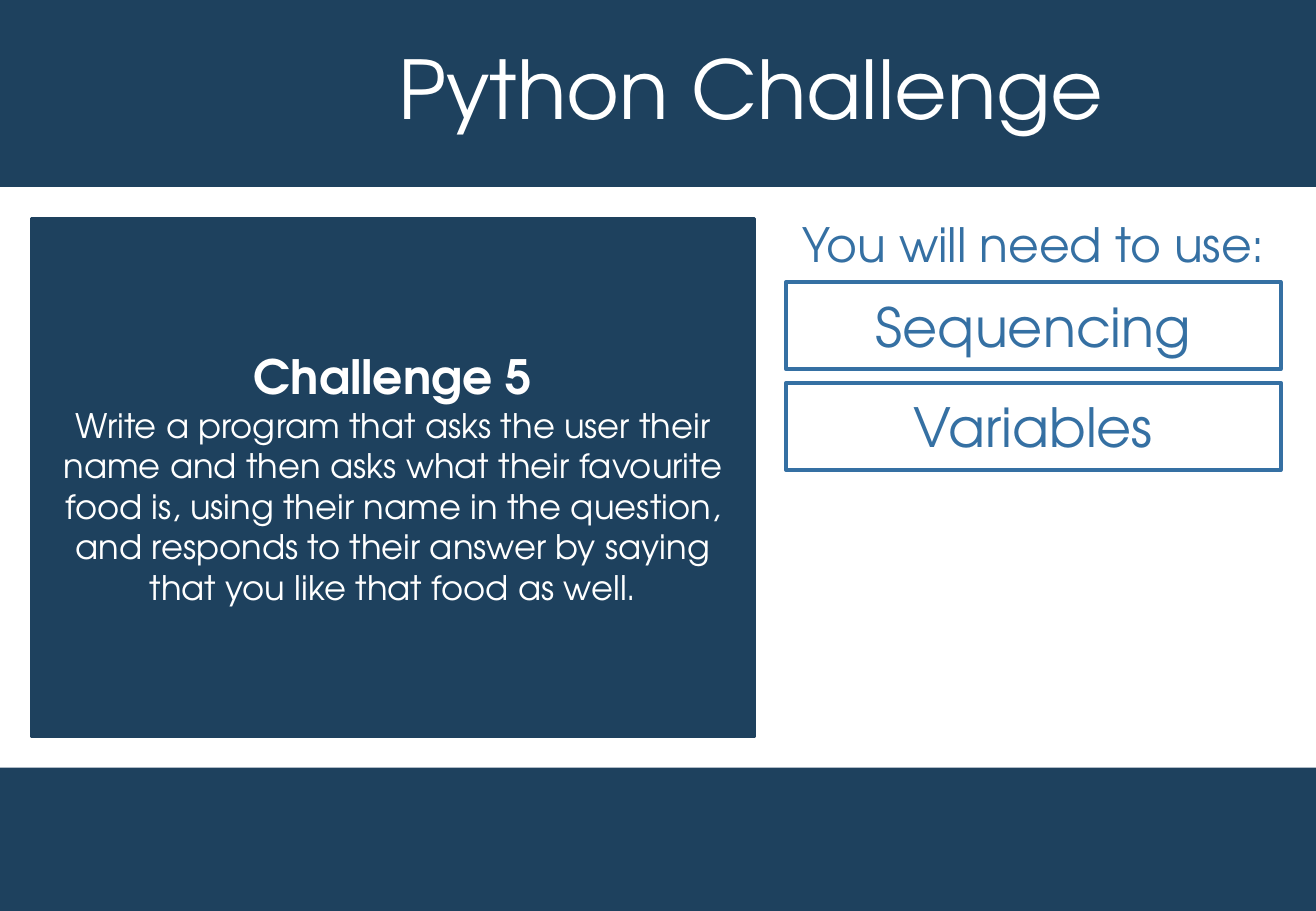
"""Build the Python Challenge slide with its task panel and list of needed skills."""
from dataclasses import dataclass
from typing import Optional

from pptx import Presentation
from pptx import util as u
from pptx.dml.color import RGBColor
from pptx.enum import shapes, text

PX = 9144
FONT = "TeX Gyre Adventor"
COLOURS = {"navy": "1E415E", "blue": "3570A3", "white": "FFFFFF"}
SKILLS = ("Sequencing", "Variables")
SKILL_TOP, SKILL_STEP = 232, 83


@dataclass(frozen=True)
class Line:
    words: str
    size: int
    colour: str
    bold: bool = False
    spacing: float = 1.0


@dataclass(frozen=True)
class Block:
    left: int
    top: int
    width: int
    height: int
    fill: Optional[str] = None
    border: Optional[str] = None
    lines: tuple[Line, ...] = ()


def rgb(colour: str) -> RGBColor:
    return RGBColor.from_string(COLOURS[colour])


def set_all(target: object, values: dict[str, object]) -> None:
    for key, value in values.items():
        setattr(target, key, value)


def write_lines(frame, lines: tuple[Line, ...]) -> None:
    set_all(frame, {"word_wrap": True, "vertical_anchor": text.MSO_ANCHOR.MIDDLE})
    for index, line in enumerate(lines):
        paragraph = frame.add_paragraph() if index else frame.paragraphs[0]
        set_all(paragraph, {"alignment": text.PP_ALIGN.CENTER, "line_spacing": line.spacing})
        run = paragraph.add_run()
        run.text = line.words
        set_all(run.font, {"name": FONT, "size": u.Pt(line.size), "bold": line.bold})
        run.font.color.rgb = rgb(line.colour)


def draw_block(slide, block: Block) -> None:
    place = [side * PX for side in (block.left, block.top, block.width, block.height)]
    if block.fill or block.border:
        body = slide.shapes.add_shape(shapes.MSO_SHAPE.RECTANGLE, *place)
        body.shadow.inherit = False
        if block.fill:
            body.fill.solid()
            body.fill.fore_color.rgb = rgb(block.fill)
        else:
            body.fill.background()
        if block.border:
            body.line.color.rgb = rgb(block.border)
            body.line.width = u.Pt(2.25)
        else:
            body.line.fill.background()
    else:
        body = slide.shapes.add_textbox(*place)
    if block.lines:
        write_lines(body.text_frame, block.lines)


def main() -> None:
    deck = Presentation()
    set_all(deck, {"slide_width": 1083 * PX, "slide_height": 750 * PX})
    slide = deck.slides.add_slide(deck.slide_layouts[6])
    task = (
        "Write a program that asks the user their name and then asks what their "
        "favourite food is, using their name in the question, and responds to "
        "their answer by saying that you like that food as well."
    )
    header = Block(0, 0, 1083, 154, fill="navy")
    footer = Block(0, 632, 1083, 118, fill="navy")
    title = Block(162, 21, 912, 111,
                  lines=(Line("Python Challenge", 48, "white", spacing=0.9),))
    challenge = Block(26, 180, 595, 426, fill="navy", border="navy",
                      lines=(Line("Challenge 5", 28, "white", bold=True),
                             Line(task, 20, "white")))
    skills_heading = Block(647, 169, 407, 63,
                           lines=(Line("You will need to use:", 28, "blue"),))
    skills = [
        Block(647, SKILL_TOP + index * SKILL_STEP, 407, 72, border="blue",
              lines=(Line(skill, 32, "blue"),))
        for index, skill in enumerate(SKILLS)
    ]
    for block in (header, footer, title, challenge, skills_heading, *skills):
        draw_block(slide, block)
    deck.save("out.pptx")


if __name__ == "__main__":
    main()
